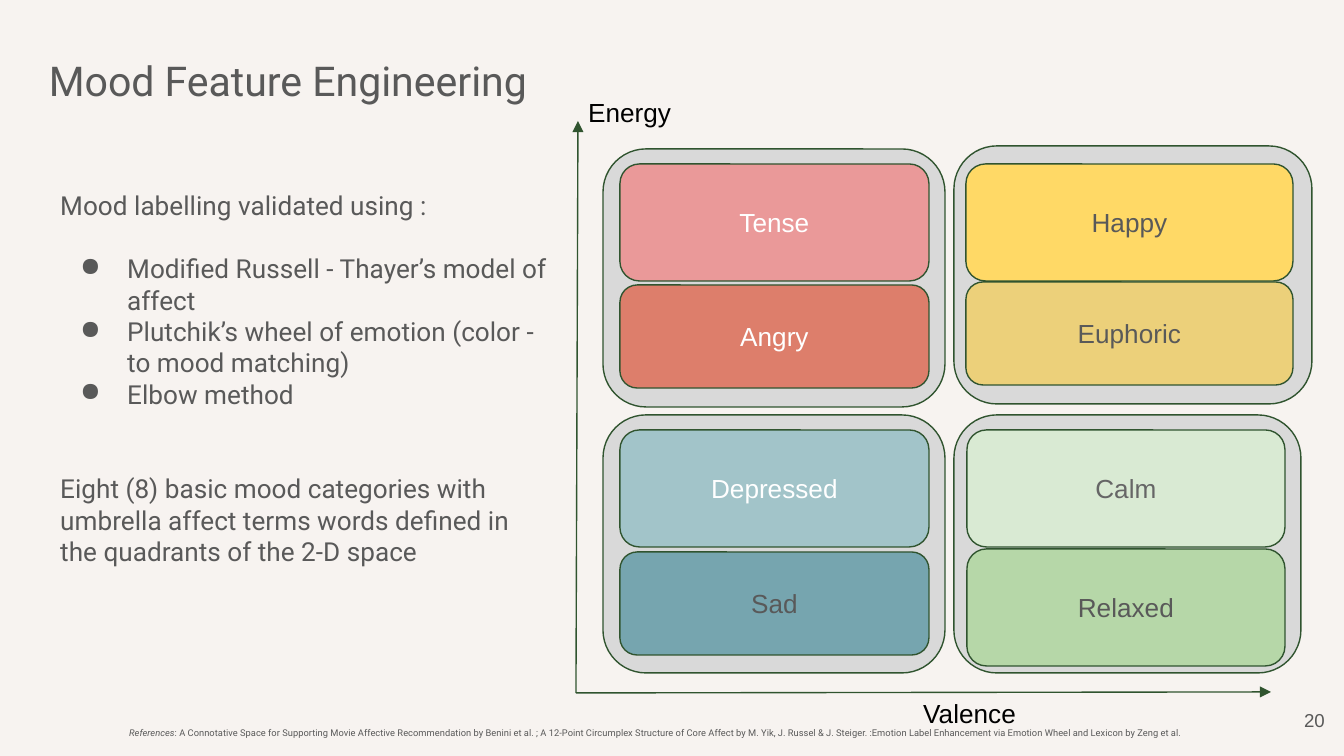
import pptx
import pptx.util
import pptx.dml.color
import pptx.enum.shapes
import pptx.enum.text
import pptx.oxml
import pptx.oxml.ns

SCALE = 9144000 / 1344
THEME = {
    "bg": "F7F3F0", "panel": "D9D9D9", "line": "30542F",
    "grey": "595959", "mid": "666666", "white": "FFFFFF", "black": "000000",
    "title": {"name": "Roboto", "size": pptx.util.Pt(22)},
    "body": {"name": "Roboto", "size": pptx.util.Pt(14)},
    "label": {"name": "Arial", "size": pptx.util.Pt(14)},
    "number": {"name": "Arial", "size": pptx.util.Pt(10)},
    "note": {"name": "Roboto", "size": pptx.util.Pt(5)},
}
RGB = pptx.dml.color.RGBColor.from_string
ALIGN = pptx.enum.text.PP_ALIGN
ANCHOR = pptx.enum.text.MSO_ANCHOR
ROUNDED = pptx.enum.shapes.MSO_SHAPE.ROUNDED_RECTANGLE
STRAIGHT = pptx.enum.shapes.MSO_CONNECTOR.STRAIGHT


def px(*values):
    return [pptx.util.Emu(round(v * SCALE)) for v in values]


def write(p, text, style, color="grey", **extra):
    r = p.add_run()
    r.text = text
    for key, value in {**THEME[style], **extra}.items():
        setattr(r.font, key, value)
    r.font.color.rgb = RGB(THEME[color])


prs = pptx.Presentation()
prs.slide_width, prs.slide_height = px(1344, 756)
s = prs.slides.add_slide(prs.slide_layouts[6])
s.background.fill.solid()
s.background.fill.fore_color.rgb = RGB(THEME["bg"])

panels = [(603, 149, 342, 258), (603, 415, 342, 258),
          (954, 415, 347, 258), (954, 146, 358, 258)]
tiles = [
    ((966, 164, 327, 117), "FFD966", "Happy", "grey"),
    ((966, 282, 327, 103), "ECD07A", "Euphoric", "grey"),
    ((620, 164, 309, 117), "EA9999", "Tense", "white"),
    ((620, 285, 309, 103), "DD7E6B", "Angry", "white"),
    ((620, 430, 309, 117), "A2C4C9", "Depressed", "white"),
    ((620, 552, 309, 103), "76A5AF", "Sad", "grey"),
    ((967, 430, 318, 117), "D9EAD3", "Calm", "mid"),
    ((967, 549, 318, 117), "B6D7A8", "Relaxed", "grey"),
]
for box, fill, text, color in [(b, THEME["panel"], "", "grey") for b in panels] + tiles:
    sp = s.shapes.add_shape(ROUNDED, *px(*box))
    sp.shadow.inherit = False
    sp.fill.solid()
    sp.fill.fore_color.rgb = RGB(fill)
    sp.line.color.rgb = RGB(THEME["line"])
    sp.line.width = pptx.util.Pt(0.75)
    if text:
        tf = sp.text_frame
        tf.vertical_anchor = ANCHOR.MIDDLE
        p = tf.paragraphs[0]
        p.alignment = ALIGN.CENTER
        write(p, text, "label", color)

for ends in [(576, 693, 578, 121), (576, 693, 1271, 692)]:
    axis = s.shapes.add_connector(STRAIGHT, *px(*ends))
    axis.line.color.rgb = RGB(THEME["line"])
    axis.line.width = pptx.util.Pt(0.75)
    ln = axis.line._get_or_add_ln()
    ln.append(pptx.oxml.parse_xml(
        f'<a:tailEnd {pptx.oxml.ns.nsdecls("a")} type="triangle"/>'))
    axis._element.spPr.append(pptx.oxml.parse_xml(
        f'<a:effectLst {pptx.oxml.ns.nsdecls("a")}/>'))

references = (
    ": A Connotative Space for Supporting Movie Affective Recommendation by Benini et al. ; "
    "A 12-Point Circumplex Structure of Core Affect by M. Yik, J. Russel & J. Steiger. "
    ":Emotion Label Enhancement via Emotion Wheel and Lexicon by Zeng et al."
)
body = [
    ("Mood labelling validated using :", False, 0),
    ("Modified Russell - Thayer’s model of affect", True, 17),
    ("Plutchik’s wheel of emotion (color - to mood matching)", True, 0),
    ("Elbow method", True, 0),
    ("Eight (8) basic mood categories with umbrella affect terms words defined in "
     "the quadrants of the 2-D space", False, 34),
]
boxes = [
    ((5, 32, 566, 97), "title", "grey", ALIGN.CENTER, ANCHOR.MIDDLE,
     [("Mood Feature Engineering", False, 0)]),
    ((575, 83, 129, 38), "label", "black", ALIGN.LEFT, ANCHOR.TOP, [("Energy", False, 0)]),
    ((910, 684, 129, 38), "label", "black", ALIGN.LEFT, ANCHOR.TOP, [("Valence", False, 0)]),
    ((47, 176, 515, 472), "body", "grey", ALIGN.LEFT, ANCHOR.TOP, body),
    ((1258, 698, 80, 58), "number", "grey", ALIGN.RIGHT, ANCHOR.TOP, [("20", False, 0)]),
    ((116, 722, 1168, 11), "note", "grey", ALIGN.LEFT, ANCHOR.TOP, [(references, False, 0)]),
]
for box, style, color, align, anchor, paragraphs in boxes:
    tf = s.shapes.add_textbox(*px(*box)).text_frame
    tf.word_wrap = True
    tf.vertical_anchor = anchor
    for side in ("left", "top", "right", "bottom"):
        setattr(tf, f"margin_{side}", pptx.util.Inches(0.1))
    for i, (text, bullet, before) in enumerate(paragraphs):
        p = tf.add_paragraph() if i else tf.paragraphs[0]
        p.alignment = align
        if before:
            p.space_before = pptx.util.Pt(before)
        if bullet:
            pPr = p._p.get_or_add_pPr()
            for key, value in zip(("marL", "indent"), px(67, -47)):
                pPr.set(key, str(value))
            for tag in (f'buClr {pptx.oxml.ns.nsdecls("a")}><a:srgbClr val="{THEME["grey"]}"/></a:buClr',
                        f'buChar {pptx.oxml.ns.nsdecls("a")} char="●"/'):
                pPr.append(pptx.oxml.parse_xml(f"<a:{tag}>"))
        if style == "note":
            write(p, "References", style, color, italic=True)
        write(p, text, style, color)

prs.save("out.pptx")
